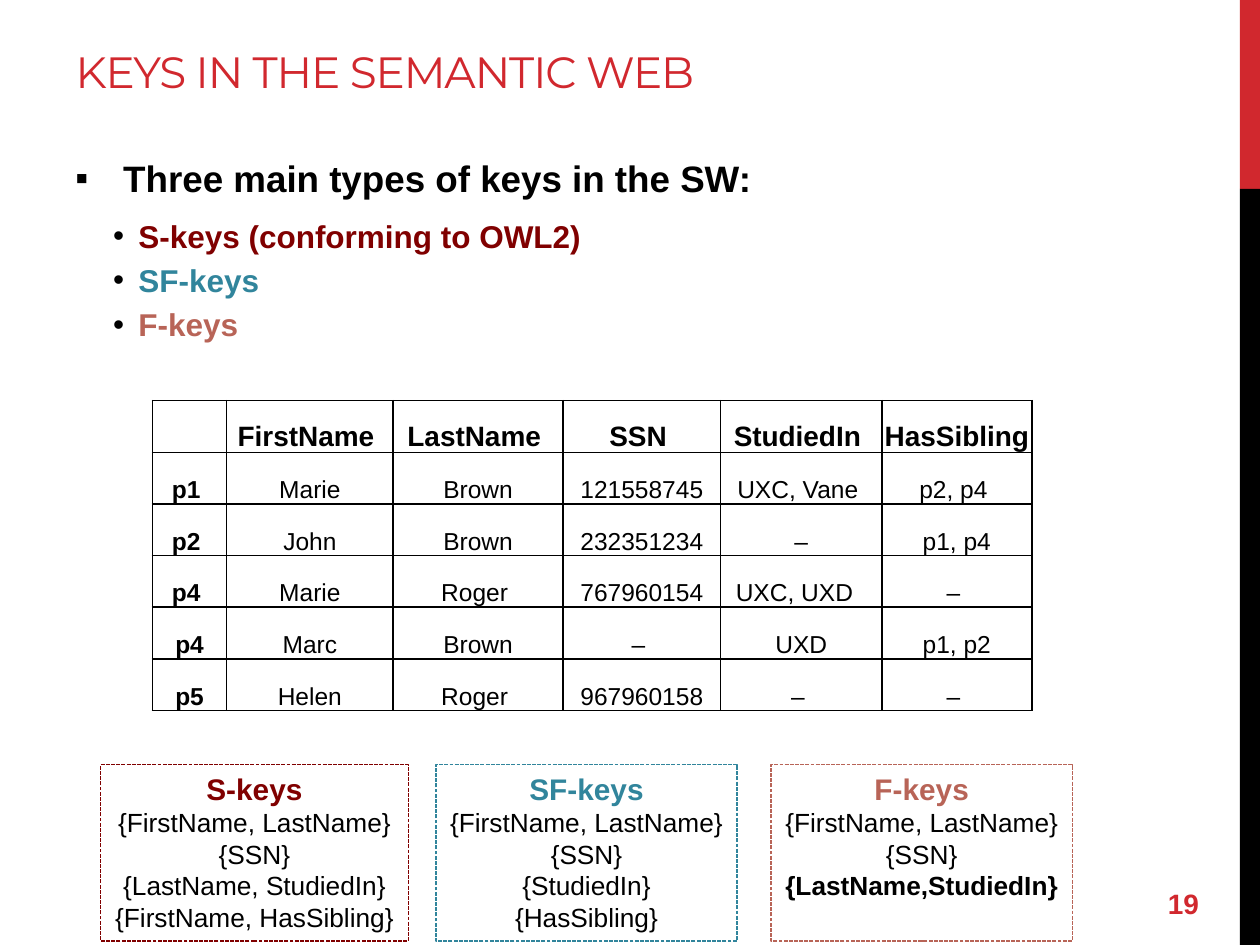
from lxml import etree
from pptx import Presentation
from pptx import util as u
from pptx.dml.color import RGBColor
from pptx.enum import dml, shapes, text
from pptx.oxml import parse_xml
from pptx.oxml.ns import nsdecls, qn

RED, BLACK = "D1282E", "000000"
S_COLOR, SF_COLOR, F_COLOR = "800000", "31859C", "B86457"

KEY_TYPES = [
    ("S-keys (conforming to OWL2)", S_COLOR),
    ("SF-keys", SF_COLOR),
    ("F-keys", F_COLOR),
]

COLUMN_WIDTHS = [0.59, 1.32, 1.35, 1.25, 1.28, 1.19]
ROW_HEIGHT = 0.41
PEOPLE = [
    ["", "FirstName ", "LastName ", "SSN ", "StudiedIn ", "HasSibling"],
    ["p1 ", "Marie", "Brown", "121558745", "UXC, Vane ", "p2, p4 "],
    ["p2 ", "John", "Brown", "232351234", "–", "p1, p4"],
    ["p4 ", "Marie", "Roger ", "767960154", "UXC, UXD  ", "– "],
    ["p4", "Marc", "Brown", "– ", "UXD", "p1, p2"],
    ["p5", "Helen", "Roger ", "967960158", "– ", "– "],
]

# heading, colour, left, width, keys, keys in bold
KEY_BOXES = [
    ("S-keys", S_COLOR, 0.8, 2.44,
     ["{FirstName, LastName}", "{SSN}", "{LastName, StudiedIn}", "{FirstName, HasSibling}"], []),
    ("SF-keys", SF_COLOR, 3.46, 2.39,
     ["{FirstName, LastName}", "{SSN}", "{StudiedIn}", "{HasSibling}"], []),
    ("F-keys", F_COLOR, 6.12, 2.39,
     ["{FirstName, LastName}", "{SSN}", "{LastName,StudiedIn}"], ["{LastName,StudiedIn}"]),
]


def rgb(color):
    return RGBColor.from_string(color)


def inches(*lengths):
    return [u.Inches(length) for length in lengths]


def style(paragraph, size, color=BLACK, bold=False, name="Arial", align=None):
    font = paragraph.font
    font.size, font.bold, font.name = u.Pt(size), bold, name
    font.color.rgb = rgb(color)
    paragraph.alignment = align


def next_paragraph(frame, index):
    return frame.add_paragraph() if index else frame.paragraphs[0]


def set_bullet(paragraph, char, left, hanging):
    props = paragraph._p.get_or_add_pPr()
    props.set("marL", str(u.Inches(left)))
    props.set("indent", str(-u.Inches(hanging)))
    bullet = (
        f'<a:buClr {nsdecls("a")}><a:srgbClr val="{BLACK}"/></a:buClr>',
        f'<a:buFont {nsdecls("a")} typeface="Arial"/>',
        f'<a:buChar {nsdecls("a")} char="{char}"/>',
    )
    defaults = props.find(qn("a:defRPr"))
    for xml in bullet:
        defaults.addprevious(parse_xml(xml))


def add_box(slide, left, top, width, height):
    box = slide.shapes.add_shape(shapes.MSO_SHAPE.RECTANGLE, *inches(left, top, width, height))
    box.shadow.inherit = False
    return box


def add_side_bar(slide, top, height, color):
    bar = add_box(slide, 9.84, top, 0.16, height)
    bar.fill.solid()
    bar.fill.fore_color.rgb = rgb(color)
    bar.line.fill.background()


def set_title(slide, wording):
    title = slide.shapes.title
    title.left, title.top, title.width, title.height = inches(0.5, 0.17, 9.06, 0.84)
    frame = title.text_frame
    frame.text = wording
    frame.margin_top = 0
    frame.vertical_anchor = text.MSO_ANCHOR.MIDDLE
    heading = frame.paragraphs[0]
    style(heading, 25, RED, name="Montserrat", align=text.PP_ALIGN.LEFT)
    heading.runs[0].font._element.set("spc", "-60")


def add_key_types(slide):
    frame = slide.shapes.add_textbox(*inches(0.5, 1.19, 9.06, 1.7)).text_frame
    frame.word_wrap = True
    intro = frame.paragraphs[0]
    intro.text = "Three main types of keys in the SW:"
    style(intro, 21, bold=True)
    intro.space_before, intro.space_after = u.Pt(4.2), u.Pt(6)
    set_bullet(intro, "▪", 0.38, 0.38)
    for wording, color in KEY_TYPES:
        item = frame.add_paragraph()
        item.text, item.level = wording, 1
        style(item, 18, color, bold=True)
        item.space_before = u.Pt(3.6)
        set_bullet(item, "•", 0.5, 0.2)


def add_borders(cell):
    props = cell._tc.get_or_add_tcPr()
    for index, side in enumerate("LRTB"):
        line = etree.Element(qn(f"a:ln{side}"), w=str(u.Pt(1)))
        fill = etree.SubElement(line, qn("a:solidFill"))
        etree.SubElement(fill, qn("a:srgbClr"), val=BLACK)
        props.insert(index, line)


def add_people_table(slide):
    rows, columns = len(PEOPLE), len(COLUMN_WIDTHS)
    area = inches(1.21, 3.18, sum(COLUMN_WIDTHS), rows * ROW_HEIGHT)
    table = slide.shapes.add_table(rows, columns, *area).table
    for column, width in zip(table.columns, COLUMN_WIDTHS):
        column.width = u.Inches(width)
    for r, person in enumerate(PEOPLE):
        table.rows[r].height = u.Inches(ROW_HEIGHT)
        for c, value in enumerate(person):
            cell = table.cell(r, c)
            cell.text = value
            cell.fill.background()
            cell.vertical_anchor = text.MSO_ANCHOR.BOTTOM
            cell.margin_left = cell.margin_right = cell.margin_top = u.Inches(0.01)
            cell.margin_bottom = 0
            style(cell.text_frame.paragraphs[0], 14 if r else 16,
                  bold=r == 0 or c == 0, align=text.PP_ALIGN.CENTER)
            add_borders(cell)


def add_key_box(slide, heading, color, left, width, keys, bold_keys):
    box = add_box(slide, left, 6.07, width, 1.4)
    box.fill.background()
    box.line.color.rgb = rgb(color)
    box.line.width = u.Pt(0.75)
    box.line.dash_style = dml.MSO_LINE.SQUARE_DOT
    frame = box.text_frame
    frame.word_wrap = False
    frame.vertical_anchor = text.MSO_ANCHOR.TOP
    for index, wording in enumerate([heading] + keys):
        line = next_paragraph(frame, index)
        line.text = wording
        if index == 0:
            style(line, 17, color, bold=True, align=text.PP_ALIGN.CENTER)
        else:
            style(line, 15, bold=wording in bold_keys, align=text.PP_ALIGN.CENTER)


def add_page_number(slide, number):
    frame = slide.shapes.add_textbox(*inches(9.17, 6.97, 0.83, 0.4)).text_frame
    frame.word_wrap = True
    frame.vertical_anchor = text.MSO_ANCHOR.MIDDLE
    frame.text = number
    style(frame.paragraphs[0], 16, RED, bold=True)


def main():
    deck = Presentation()
    deck.slide_width, deck.slide_height = inches(10, 7.5)
    slide = deck.slides.add_slide(deck.slide_layouts[5])

    # Side bars and heading
    add_side_bar(slide, 0, 1.5, RED)
    add_side_bar(slide, 1.5, 6, BLACK)
    set_title(slide, "KEYS IN THE SEMANTIC WEB")

    # Key types, sample data and the keys found in it
    add_key_types(slide)
    add_people_table(slide)
    for key_box in KEY_BOXES:
        add_key_box(slide, *key_box)

    add_page_number(slide, "19")
    deck.save("out.pptx")


if __name__ == "__main__":
    main()
